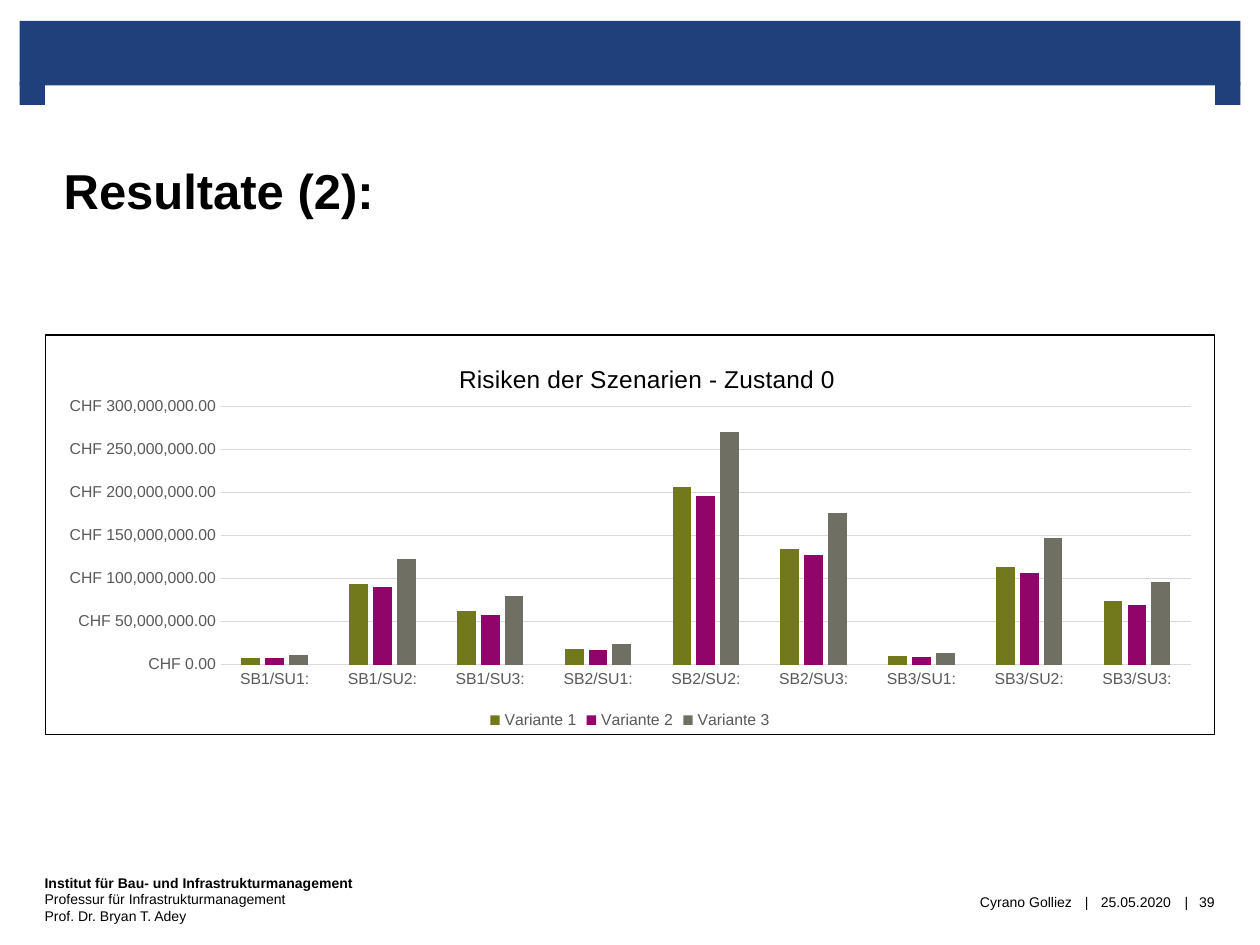
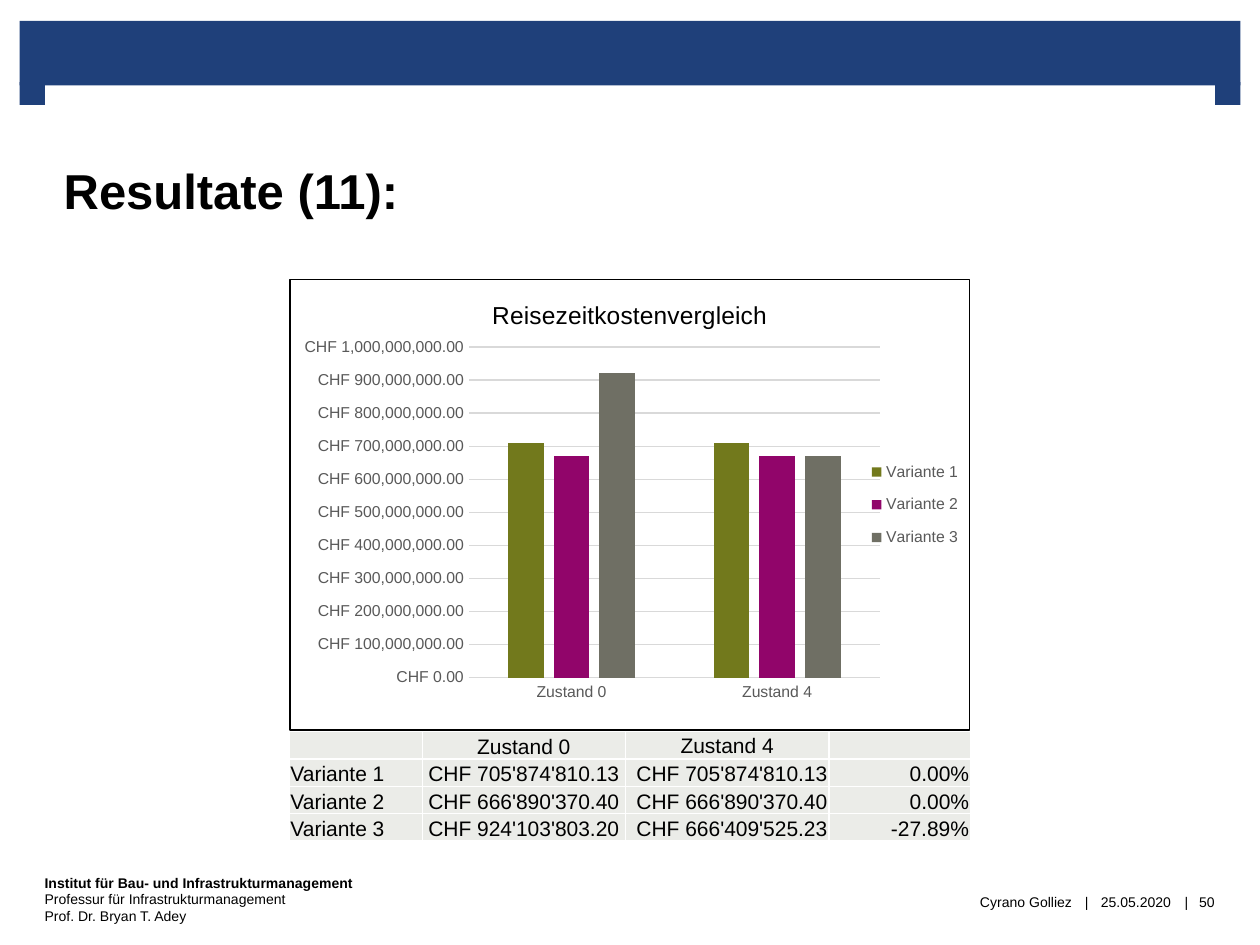
from lxml.etree import SubElement
from pptx import Presentation
from pptx.chart.data import CategoryChartData
from pptx.dml.color import RGBColor
from pptx.enum.chart import XL_CHART_TYPE as ChartType, XL_LEGEND_POSITION as LegendPosition, XL_TICK_MARK as TickMark
from pptx.enum.shapes import MSO_SHAPE as Shape
from pptx.enum.text import MSO_ANCHOR as Anchor, MSO_AUTO_SIZE as AutoSize, PP_ALIGN as Align
from pptx.oxml import parse_xml
from pptx.oxml.ns import nsdecls, qn
from pptx.util import Pt

FONT = "Arial"
BLACK, WHITE, BLUE = "000000", "FFFFFF", "1F407A"
AXIS_TEXT, GRID, CELL = "595959", "D9D9D9", "EBECE8"
VARIANT_COLORS = {"Variante 1": "72791C", "Variante 2": "91056A", "Variante 3": "6F6F64"}
CURRENCY = '"CHF"\\ #,##0.00'
MILLION = 1_000_000
TITLE_BOX = (25.2, 48.96, 668.9, 76.32)
FOOTER_TOP, FOOTER_HEIGHT = 496, 36.72


def color(hex_code):
    """Turn a hex string into a colour."""
    return RGBColor.from_string(hex_code)


def points(box):
    """Convert a box of numbers into lengths."""
    return [Pt(value) for value in box]


def style_font(font, size, hex_code=BLACK, bold=False):
    """Format a font of a run or of a chart part."""
    font.name, font.size, font.bold = FONT, Pt(size), bold
    font.color.rgb = color(hex_code)


def write(paragraph, text, size=8, bold=False, align=Align.LEFT, hex_code=BLACK):
    """Write formatted text into a paragraph."""
    paragraph.alignment = align
    run = paragraph.add_run()
    run.text = text
    style_font(run.font, size, hex_code, bold)


def set_frame(frame, margins, anchor, wrap):
    """Set margins, anchor and wrapping of a text frame."""
    frame.margin_left, frame.margin_top, frame.margin_right, frame.margin_bottom = points(margins)
    frame.vertical_anchor, frame.word_wrap = anchor, wrap
    frame.auto_size = AutoSize.NONE


def add_band(slide, box):
    """Draw the header band with a tab hanging at each end of the box."""
    left, top, width, height = box
    tab_width, tab_height, bar_height = 14.4, 13, 36.8
    tab_top = top + height - tab_height
    parts = [(left, top, width, bar_height),
             (left, tab_top, tab_width, tab_height),
             (left + width - tab_width, tab_top, tab_width, tab_height)]
    for part in parts:
        shape = slide.shapes.add_shape(Shape.RECTANGLE, *points(part))
        shape.shadow.inherit = False
        shape.fill.solid()
        shape.fill.fore_color.rgb = color(BLUE)
        shape.line.fill.background()


def add_footer(slide, number, top, height):
    """Place the institute lines, author, date, page number and separators."""
    institute = slide.shapes.add_textbox(*points((18.4, top, 192.2, height))).text_frame
    set_frame(institute, (7.2, 3.6, 7.2, 3.6), Anchor.TOP, False)
    write(institute.paragraphs[0], "Institut für Bau- und Infrastrukturmanagement", bold=True)
    for line in ("Professur für Infrastrukturmanagement", "Prof. Dr. Bryan T. Adey"):
        write(institute.add_paragraph(), line)
    items = [("Cyrano Golliez", 360, 252.7, Align.RIGHT), ("|", 616.8, 8.3, Align.CENTER),
             ("25.05.2020", 625, 48.3, Align.CENTER), ("|", 673.8, 8.3, Align.CENTER),
             (str(number), 679.2, 20.9, Align.CENTER)]
    for text, left, width, align in items:
        frame = slide.shapes.add_textbox(*points((left, top + 0.8, width, height))).text_frame
        set_frame(frame, (0, 0, 0, 0), Anchor.MIDDLE, False)
        write(frame.paragraphs[0], text, align=align)


def add_result_slide(presentation, title, number):
    """Add a slide with band, title and footer."""
    slide = presentation.slides.add_slide(presentation.slide_layouts[5])
    add_band(slide, (11.3, 12, 697.5, 48))
    shape = slide.shapes.title
    shape.left, shape.top, shape.width, shape.height = points(TITLE_BOX)
    shape.fill.solid()
    shape.fill.fore_color.rgb = color(WHITE)
    set_frame(shape.text_frame, (11.2, 0, 11.5, 0), Anchor.BOTTOM, True)
    write(shape.text_frame.paragraphs[0], title, size=28, bold=True)
    add_footer(slide, number, FOOTER_TOP, FOOTER_HEIGHT)
    return slide


def frame_chart(chart):
    """Give the chart area a white fill and a thin black border."""
    chart.element.find(qn("c:chart")).addnext(parse_xml(
        f'<c:spPr {nsdecls("c", "a")}><a:solidFill><a:srgbClr val="{WHITE}"/></a:solidFill>'
        f'<a:ln w="{Pt(0.75)}"><a:solidFill><a:srgbClr val="{BLACK}"/></a:solidFill></a:ln></c:spPr>'))


def place_part(chart, name, box):
    """Fix the title, legend or inner plot area at fractions of the chart."""
    part = chart.element.find(qn("c:chart")).find(qn(f"c:{name}"))
    for layout in part.findall(qn("c:layout")):
        part.remove(layout)
    layout = parse_xml(f'<c:layout {nsdecls("c")}/>')
    manual = SubElement(layout, qn("c:manualLayout"))
    target = [("layoutTarget", "inner")] if name == "plotArea" else []
    for tag, value in target + [("xMode", "edge"), ("yMode", "edge")] + list(zip("xywh", box)):
        SubElement(manual, qn(f"c:{tag}")).set("val", str(value))
    if target:
        part.insert(0, layout)
    else:
        part.find(qn("c:overlay")).addprevious(layout)


def style_axes(chart, maximum, step):
    """Format the category and value axes."""
    for axis in (chart.category_axis, chart.value_axis):
        axis.major_tick_mark = axis.minor_tick_mark = TickMark.NONE
        style_font(axis.tick_labels.font, 9, AXIS_TEXT)
    values = chart.value_axis
    values.minimum_scale, values.maximum_scale, values.major_unit = 0, maximum * MILLION, step * MILLION
    values.tick_labels.number_format = CURRENCY
    values.tick_labels.number_format_is_linked = False
    values.format.line.fill.background()
    for line in (chart.category_axis.format.line, values.major_gridlines.format.line):
        line.color.rgb = color(GRID)
        line.width = Pt(0.75)


def add_cost_chart(slide, box, title, categories, millions, maximum, step, legend, places):
    """Add a column chart that compares the variants in CHF."""
    data = CategoryChartData(number_format=CURRENCY)
    data.categories = categories
    for name, values in zip(VARIANT_COLORS, millions):
        data.add_series(name, [value * MILLION for value in values])
    chart = slide.shapes.add_chart(ChartType.COLUMN_CLUSTERED, *points(box), data).chart
    style_font(chart.font, 10)
    frame_chart(chart)
    write(chart.chart_title.text_frame.paragraphs[0], title, size=14, align=Align.CENTER)
    chart.has_legend = True
    chart.legend.position = legend
    chart.legend.include_in_layout = False
    style_font(chart.legend.font, 9, AXIS_TEXT)
    style_axes(chart, maximum, step)
    plot = chart.plots[0]
    plot.gap_width, plot.overlap, plot.vary_by_categories = 219, -27, False
    for series in plot.series:
        series.format.fill.solid()
        series.format.fill.fore_color.rgb = color(VARIANT_COLORS[series.name])
    for name, place in places.items():
        place_part(chart, name, place)


def style_cell(cell, text, align, anchor):
    """Fill one table cell and give it white borders."""
    properties = cell._tc.get_or_add_tcPr()
    for side in "LRTB":
        properties.append(parse_xml(
            f'<a:ln{side} {nsdecls("a")} w="{Pt(1)}"><a:solidFill>'
            f'<a:srgbClr val="{WHITE}"/></a:solidFill></a:ln{side}>'))
    cell.fill.solid()
    cell.fill.fore_color.rgb = color(CELL)
    cell.margin_left = cell.margin_top = cell.margin_right = Pt(0.7)
    cell.margin_bottom = 0
    cell.vertical_anchor = anchor
    paragraph = cell.text_frame.paragraphs[0]
    if text:
        write(paragraph, text, size=12, align=align)
    else:
        SubElement(paragraph._p, qn("a:endParaRPr")).set("sz", "1200")


def add_cost_table(slide, box, rows, widths):
    """Add the table of travel time costs, with a centred header row."""
    table = slide.shapes.add_table(len(rows), len(widths), *points(box)).table
    table.first_row = table.horz_banding = False
    for column, width in zip(table.columns, widths):
        column.width = Pt(width)
    aligns = (Align.LEFT, Align.CENTER, Align.RIGHT, Align.RIGHT)
    for row_index, row in enumerate(rows):
        table.rows[row_index].height = Pt(box[3] / len(rows))
        for column_index, text in enumerate(row):
            align = aligns[column_index] if row_index else Align.CENTER
            anchor = Anchor.MIDDLE if (row_index, column_index) == (0, 2) else Anchor.BOTTOM
            style_cell(table.cell(row_index, column_index), text, align, anchor)


def add_risk_slide(presentation):
    """Build the slide with the risks of all scenarios."""
    slide = add_result_slide(presentation, "Resultate (2):", 39)
    scenarios = [f"SB{building}/SU{surrounding}:" for building in (1, 2, 3) for surrounding in (1, 2, 3)]
    millions = [(8, 94, 62, 18, 207, 135, 10, 113, 74),
                (8, 90, 58, 17, 196, 128, 9, 107, 70),
                (11, 123, 80, 24, 271, 176, 13, 147, 96)]
    places = {"title": (0.35, 0.06), "plotArea": (0.15, 0.18, 0.83, 0.646)}
    add_cost_chart(slide, (25.6, 191, 668.7, 229), "Risiken der Szenarien - Zustand 0",
                   scenarios, millions, 300, 50, LegendPosition.BOTTOM, places)


def add_travel_time_slide(presentation):
    """Build the slide that compares the travel time costs."""
    slide = add_result_slide(presentation, "Resultate (11):", 50)
    left, width, states = 165.3, 389.2, ("Zustand 0", "Zustand 4")
    rows = [("", *states, ""),
            ("Variante 1", "CHF 705'874'810.13", "CHF 705'874'810.13", "0.00%"),
            ("Variante 2", "CHF 666'890'370.40", "CHF 666'890'370.40", "0.00%"),
            ("Variante 3", "CHF 924'103'803.20", "CHF 666'409'525.23", "-27.89%")]
    add_cost_table(slide, (left, 418, width, 62.6), rows, (76, 116.2, 116.2, 80.8))
    places = {"plotArea": (0.263, 0.15, 0.605, 0.734), "legend": (0.847, 0.375, 0.145, 0.25)}
    add_cost_chart(slide, (left, 159.3, width, 258.3), "Reisezeitkostenvergleich", states,
                   [(710, 710), (670, 670), (920, 670)], 1000, 100, LegendPosition.RIGHT, places)


def main():
    """Build and save the presentation."""
    presentation = Presentation()
    presentation.slide_width, presentation.slide_height = Pt(720), Pt(540)
    add_risk_slide(presentation)
    add_travel_time_slide(presentation)
    presentation.save("out.pptx")


if __name__ == "__main__":
    main()
